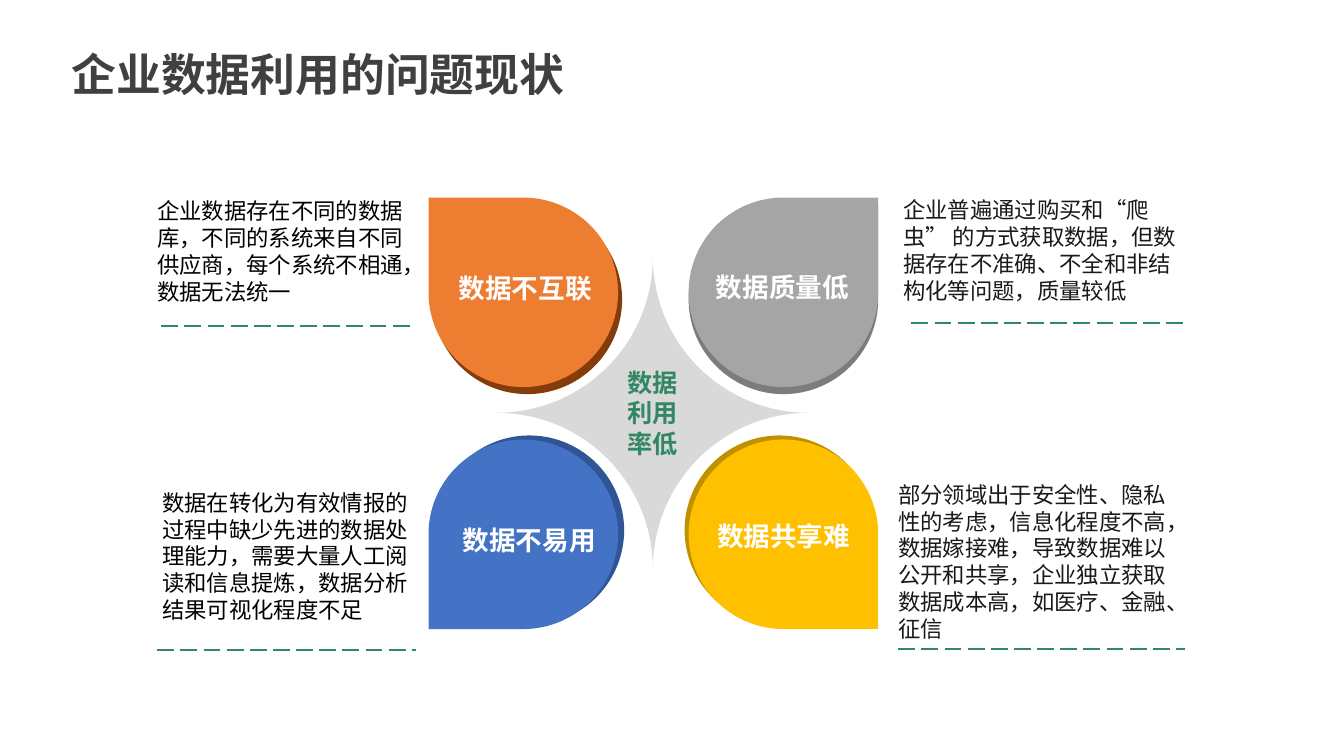
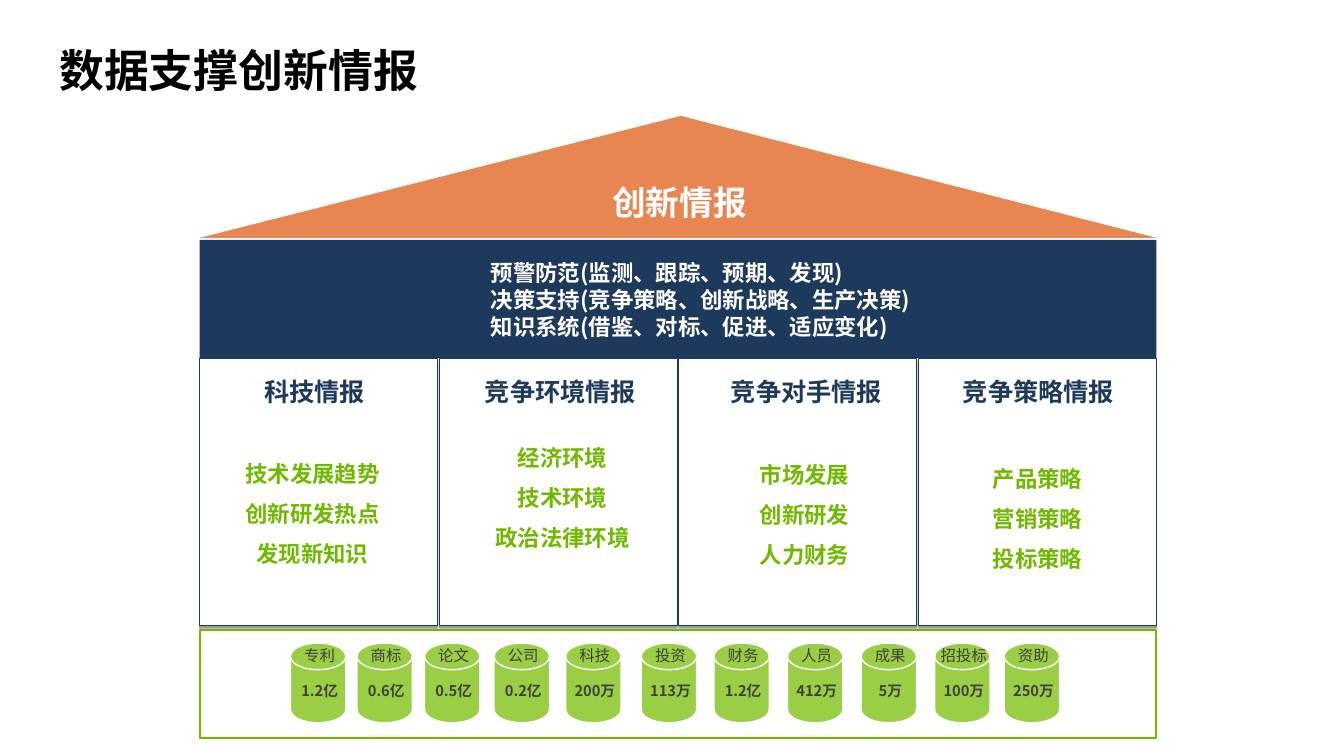
from typing import NamedTuple

from lxml.etree import SubElement
from pptx import Presentation
from pptx.dml.color import RGBColor
from pptx.enum.dml import MSO_LINE
from pptx.enum.shapes import MSO_CONNECTOR, MSO_SHAPE
from pptx.enum.text import MSO_ANCHOR, PP_ALIGN
from pptx.oxml.ns import qn
from pptx.util import Inches, Pt

FONT = "Noto Sans CJK SC"
WHITE, BLACK, INK, GRAY = "FFFFFF", "000000", "191919", "404040"
TEAL, NAVY, GREEN, LIME = "328765", "1D395B", "71B900", "9ACE44"
MID, LEFT = PP_ALIGN.CENTER, PP_ALIGN.LEFT


class Drop(NamedTuple):
    """A teardrop with its darker edge, shifted by (dx, dy), and its label."""
    x: float
    y: float
    turn: int
    fill: str
    edge: str
    dx: float
    dy: float
    label: str
    mid: float
    top: float


class Note(NamedTuple):
    """A paragraph and the dashed rule under it."""
    x: float
    y: float
    width: float
    height: float
    color: str
    text: str
    start: float
    end: float
    rule: float


class Room(NamedTuple):
    """A column of the house; head and mid are the text centres."""
    title: str
    head: float
    mid: float
    top: float
    items: str


class Disk(NamedTuple):
    x: float
    label: str
    value: str


DROPS = [
    Drop(4.25, 1.96, 270, "ED7D31", "843C0B", 0.04, 0.07, "数据不互联", 5.21, 2.7),
    Drop(6.83, 1.96, 0, "A5A5A5", "7C7C7C", 0, 0.07, "数据质量低", 7.76, 2.69),
    Drop(4.25, 4.36, 180, "4472C4", "2F5597", 0.06, -0.04, "数据不易用", 5.25, 5.2),
    Drop(6.83, 4.36, 90, "FFC000", "BF9000", -0.04, -0.04, "数据共享难", 7.77, 5.16),
]
NOTES = [
    Note(1.56, 1.96, 2.56, 1.08, BLACK,
         "企业数据存在不同的数据库，不同的系统来自不同供应商，每个系统不相通，数据无法统一",
         1.6, 4.08, 3.23),
    Note(8.96, 1.95, 2.8, 1.08, INK,
         "企业普遍通过购买和“爬虫” 的方式获取数据，但数据存在不准确、不全和非结构化等问题，质量较低",
         9.04, 11.75, 3.2),
    Note(1.61, 4.85, 2.45, 1.35, BLACK,
         "数据在转化为有效情报的过程中缺少先进的数据处理能力，需要大量人工阅读和信息提炼，数据分析结果可视化程度不足",
         1.56, 4.13, 6.45),
    Note(8.91, 4.77, 2.84, 1.62, INK,
         "部分领域出于安全性、隐私性的考虑，信息化程度不高，数据嫁接难，导致数据难以公开和共享，"
         "企业独立获取数据成本高，如医疗、金融、征信",
         8.91, 11.75, 6.44),
]
ROOMS = [
    Room("科技情报", 3.12, 3.1, 4.38, "技术发展趋势\n创新研发热点\n发现新知识"),
    Room("竞争环境情报", 5.56, 5.58, 4.22, "经济环境\n技术环境\n政治法律环境"),
    Room("竞争对手情报", 8, 7.98, 4.39, "市场发展\n创新研发\n人力财务"),
    Room("竞争策略情报", 10.3, 10.29, 4.43, "产品策略\n营销策略\n投标策略"),
]
DISKS = [
    Disk(2.88, "专利", "1.2亿"), Disk(3.54, "商标", "0.6亿"),
    Disk(4.21, "论文", "0.5亿"), Disk(4.9, "公司", "0.2亿"),
    Disk(5.61, "科技", "200万"), Disk(6.36, "投资", "113万"),
    Disk(7.08, "财务", "1.2亿"), Disk(7.81, "人员", "412万"),
    Disk(8.54, "成果", "5万"), Disk(9.27, "招投标", "100万"),
    Disk(9.96, "资助", "250万"),
]


def rgb(color: str) -> RGBColor:
    return RGBColor.from_string(color)


def write(frame, text: str, *, size: float = 16, color: str = BLACK, bold: bool = False,
          align=LEFT, lead: float = 1, wrap: bool = True, pad=(0, 0)) -> None:
    """Fill a text frame, one paragraph a line; pad is (side, top) in inches."""
    frame.word_wrap = wrap
    frame.vertical_anchor = MSO_ANCHOR.TOP
    frame.margin_left = frame.margin_right = Inches(pad[0])
    frame.margin_top = frame.margin_bottom = Inches(pad[1])
    for i, line in enumerate(text.split("\n")):
        para = frame.add_paragraph() if i else frame.paragraphs[0]
        para.alignment, para.line_spacing = align, lead
        run = para.add_run()
        run.text = line
        font = run.font
        font.size, font.bold, font.name = Pt(size), bold, FONT
        font.color.rgb = rgb(color)
        props = run._r.get_or_add_rPr()
        props.set("lang", "zh-CN")
        SubElement(props, qn("a:ea")).set("typeface", FONT)


def box(slide, x: float, y: float, w: float, h: float, text: str, **form) -> None:
    area = slide.shapes.add_textbox(Inches(x), Inches(y), Inches(w), Inches(h))
    write(area.text_frame, text, **form)


def label(slide, mid: float, y: float, text: str, **form) -> None:
    """Write text centred on mid."""
    box(slide, mid - 1, y, 2, 0.3, text, align=MID, **form)


def shape(slide, kind, x: float, y: float, w: float, h: float, fill: str,
          line: str = "", width: float = 1, turn: int = 0):
    item = slide.shapes.add_shape(kind, Inches(x), Inches(y), Inches(w), Inches(h))
    item.shadow.inherit = False
    item.rotation = turn
    item.fill.solid()
    item.fill.fore_color.rgb = rgb(fill)
    if line:
        item.line.color.rgb = rgb(line)
        item.line.width = Pt(width)
    else:
        item.line.fill.background()
    return item


def shade(item) -> None:
    """Give a shape a thin, hard shadow below it."""
    effects = item._element.spPr.find(qn("a:effectLst"))
    outer = SubElement(effects, qn("a:outerShdw"), blurRad="0", dist="20320",
                       dir="5400000", rotWithShape="0")
    tint = SubElement(outer, qn("a:srgbClr"), val=BLACK)
    SubElement(tint, qn("a:alpha"), val="38000")


def dash(slide, start: float, end: float, y: float) -> None:
    rule = slide.shapes.add_connector(MSO_CONNECTOR.STRAIGHT, Inches(start), Inches(y),
                                      Inches(end), Inches(y))
    rule.line.color.rgb = rgb(TEAL)
    rule.line.width = Pt(1.5)
    rule.line.dash_style = MSO_LINE.LONG_DASH
    SubElement(rule._element.spPr, qn("a:effectLst"))


def page(deck, title: str, x: float, y: float, color: str):
    """Add a blank slide with its title."""
    slide = deck.slides.add_slide(deck.slide_layouts[6])
    box(slide, x, y, 6, 0.64, title, size=32, color=color, bold=True, pad=(0.1, 0.05))
    return slide


def issues(deck) -> None:
    slide = page(deck, "企业数据利用的问题现状", 0.61, 0.41, GRAY)
    star = shape(slide, MSO_SHAPE.PLAQUE, 4.93, 2.55, 3.09, 3.09, "D9D9D9")
    star.adjustments[0] = 0.5
    write(star.text_frame, "数据利用率低", size=18, color=TEAL, bold=True,
          align=MID, pad=(0.13, 0.07))
    star.text_frame.vertical_anchor = MSO_ANCHOR.MIDDLE
    for drop in DROPS:
        for dx, dy, fill in ((drop.dx, drop.dy, drop.edge), (0, 0, drop.fill)):
            shape(slide, MSO_SHAPE.TEAR, drop.x + dx, drop.y + dy, 1.88, 1.88, fill,
                  turn=drop.turn)
        label(slide, drop.mid, drop.top, drop.label, size=19, color=WHITE, bold=True)
    for note in NOTES:
        box(slide, note.x, note.y, note.width, note.height, note.text, color=note.color)
        dash(slide, note.start, note.end, note.rule)


def house(deck) -> None:
    slide = page(deck, "数据支撑创新情报", 0.49, 0.37, BLACK)
    left, wide = 1.98, 9.49
    roof = shape(slide, MSO_SHAPE.ISOSCELES_TRIANGLE, left, 1.15, wide, 1.21, "E88651")
    roof.adjustments[0] = 0.503
    write(roof.text_frame, "创新情报", size=24, color=WHITE, bold=True, align=MID,
          pad=(0.1, 0.05))
    shape(slide, MSO_SHAPE.RECTANGLE, left, 2.38, wide, 1.17, NAVY)
    box(slide, 4.87, 2.57, 6.47, 0.81,
        "预警防范(监测、跟踪、预期、发现)\n"
        "决策支持(竞争策略、创新战略、生产决策)\n"
        "知识系统(借鉴、对标、促进、适应变化)", color=WHITE, bold=True)

    span = 2.36
    step = (wide - span) / (len(ROOMS) - 1)
    for i, room in enumerate(ROOMS):
        shade(shape(slide, MSO_SHAPE.RECTANGLE, left + i * step, 3.56, span, 2.65, WHITE,
                    NAVY, 0.75))
        label(slide, room.head, 3.73, room.title, size=18, color=NAVY, bold=True)
        label(slide, room.mid, room.top + 0.05, room.items, color=GREEN, bold=True, lead=1.5)

    shape(slide, MSO_SHAPE.RECTANGLE, left, 6.25, wide, 1.07, WHITE, GREEN, 1.5)
    for disk in DISKS:
        shape(slide, MSO_SHAPE.FLOWCHART_MAGNETIC_DISK, disk.x, 6.38, 0.55, 0.79, LIME, WHITE)
        mid = disk.x + 0.29
        label(slide, mid, 6.41, disk.label, size=11, color=GRAY)
        label(slide, mid, 6.76, disk.value, size=10.5, color=GRAY, bold=True)


def main() -> None:
    deck = Presentation()
    deck.slide_width, deck.slide_height = Inches(13.33), Inches(7.5)
    issues(deck)
    house(deck)
    deck.save("out.pptx")


if __name__ == "__main__":
    main()
